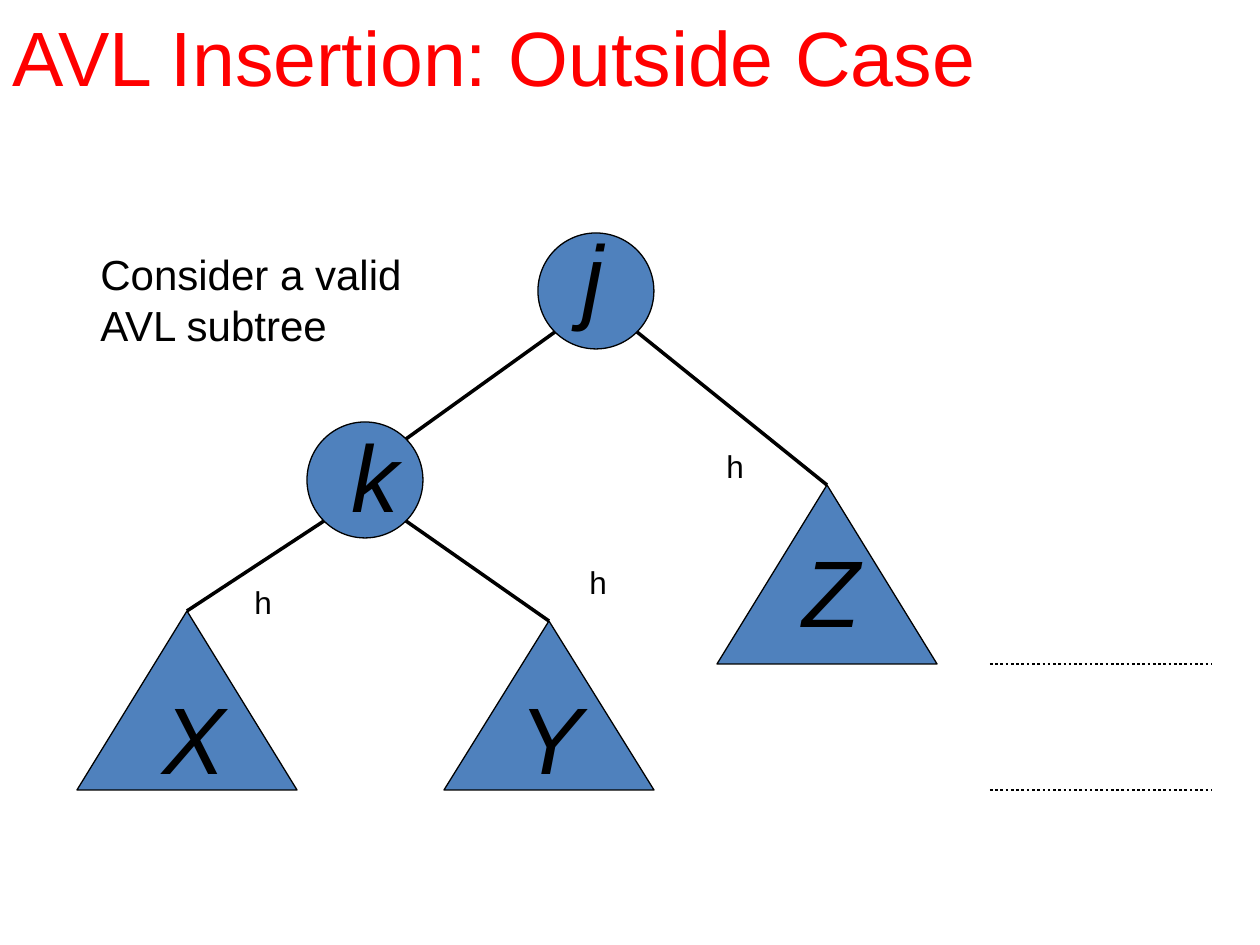
"""Build the AVL insertion slide: a valid subtree before an outside-case insertion."""
from math import sqrt
from lxml import etree
from pptx import Presentation
from pptx.dml.color import RGBColor
from pptx.enum.dml import MSO_LINE
from pptx.enum.shapes import MSO_CONNECTOR, MSO_SHAPE
from pptx.enum.text import MSO_ANCHOR, PP_ALIGN
from pptx.oxml.ns import qn
from pptx.util import Emu, Pt

STRAIGHT, DOT = MSO_CONNECTOR.STRAIGHT, MSO_LINE.ROUND_DOT
OVAL, TRIANGLE = MSO_SHAPE.OVAL, MSO_SHAPE.ISOSCELES_TRIANGLE
LEFT, MIDDLE, TOP = PP_ALIGN.LEFT, MSO_ANCHOR.MIDDLE, MSO_ANCHOR.TOP
PX = 914400 // 126
FONT = "Arial"
COLORS = {"title": "FF0000", "ink": "000000", "node": "4F81BD"}

TITLE = "AVL Insertion: Outside Case"
CAPTION = ["Consider a valid", "AVL subtree"]
DIAMETER = 116
NODES = {"j": (596, 291), "k": (365, 480)}
SUBTREES = {"X": (187, 611, 220, 790), "Y": (549, 621, 210, 790), "Z": (827, 485, 220, 664)}
EDGES = [("j", "k"), ("k", "X"), ("k", "Y"), ("j", "Z")]
LETTERS = {"j": (570, 212), "k": (339, 412), "X": (150, 674), "Y": (507, 674), "Z": (790, 527)}
HEIGHTS = [(714, 441), (242, 577), (577, 557)]
LEVELS = [664, 790]


def px(*values):
    return [Emu(round(v * PX)) for v in values]


def color(name):
    return RGBColor.from_string(COLORS[name])


def write(tf, lines, size, ink="ink", italic=False, wrap=True, before=0, spacing=None, anchor=TOP):
    tf.word_wrap = wrap
    tf.vertical_anchor = anchor
    for i, line in enumerate(lines):
        p = tf.add_paragraph() if i else tf.paragraphs[0]
        p.alignment = LEFT
        p.space_before = Pt(before)
        if spacing:
            p.line_spacing = Pt(spacing)
        r = p.add_run()
        r.text = line
        r.font.name, r.font.size, r.font.italic = FONT, Pt(size), italic
        r.font.color.rgb = color(ink)


def add_text(x, y, w, h, lines, size, **style):
    write(s.shapes.add_textbox(*px(x, y, w, h)).text_frame, lines, size, **style)


def add_solid(kind, x, y, w, h):
    sp = s.shapes.add_shape(kind, *px(x, y, w, h))
    sp.shadow.inherit = False
    sp.fill.solid()
    sp.fill.fore_color.rgb = color("node")
    sp.line.color.rgb = color("ink")
    sp.line.width = Pt(0.75)


def add_line(start, end, width, dash=None):
    line = s.shapes.add_connector(STRAIGHT, *px(*start, *end))
    line.line.color.rgb = color("ink")
    line.line.width = Pt(width)
    if dash:
        line.line.dash_style = dash
    etree.SubElement(line._element.spPr, qn("a:effectLst"))


def edge_end(parent, child):
    if child in SUBTREES:
        return SUBTREES[child][:2]
    (x, y), offset = NODES[child], DIAMETER / 2 / sqrt(2)
    side = 1 if NODES[parent][0] > x else -1
    return x + side * offset, y - offset


def edge_start(parent, child):
    (x, y), offset = NODES[parent], DIAMETER / 2 / sqrt(2)
    side = 1 if edge_end(parent, child)[0] > x else -1
    return x + side * offset, y + offset


prs = Presentation()
prs.slide_width, prs.slide_height = px(1260, 945)
s = prs.slides.add_slide(prs.slide_layouts[5])

title = s.shapes.title
title.left, title.top, title.width, title.height = px(0, 0, 1077, 111)
write(title.text_frame, [TITLE], 44, ink="title", anchor=MIDDLE)

for x, y in NODES.values():
    add_solid(OVAL, x - DIAMETER / 2, y - DIAMETER / 2, DIAMETER, DIAMETER)
for x, y, width, base in SUBTREES.values():
    add_solid(TRIANGLE, x - width / 2, y, width, base - y)
for parent, child in EDGES:
    add_line(edge_start(parent, child), edge_end(parent, child), 2)
for y in LEVELS:
    add_line((990, y), (1211, y), 1.5, DOT)

for letter, (x, y) in LETTERS.items():
    add_text(x, y, 71, 126, [letter], 54, italic=True, before=5)
for x, y in HEIGHTS:
    add_text(x, y, 45, 54, ["h"], 18, wrap=False)
add_text(88, 242, 328, 113, CAPTION, 24, wrap=False, spacing=29)

prs.save("out.pptx")
